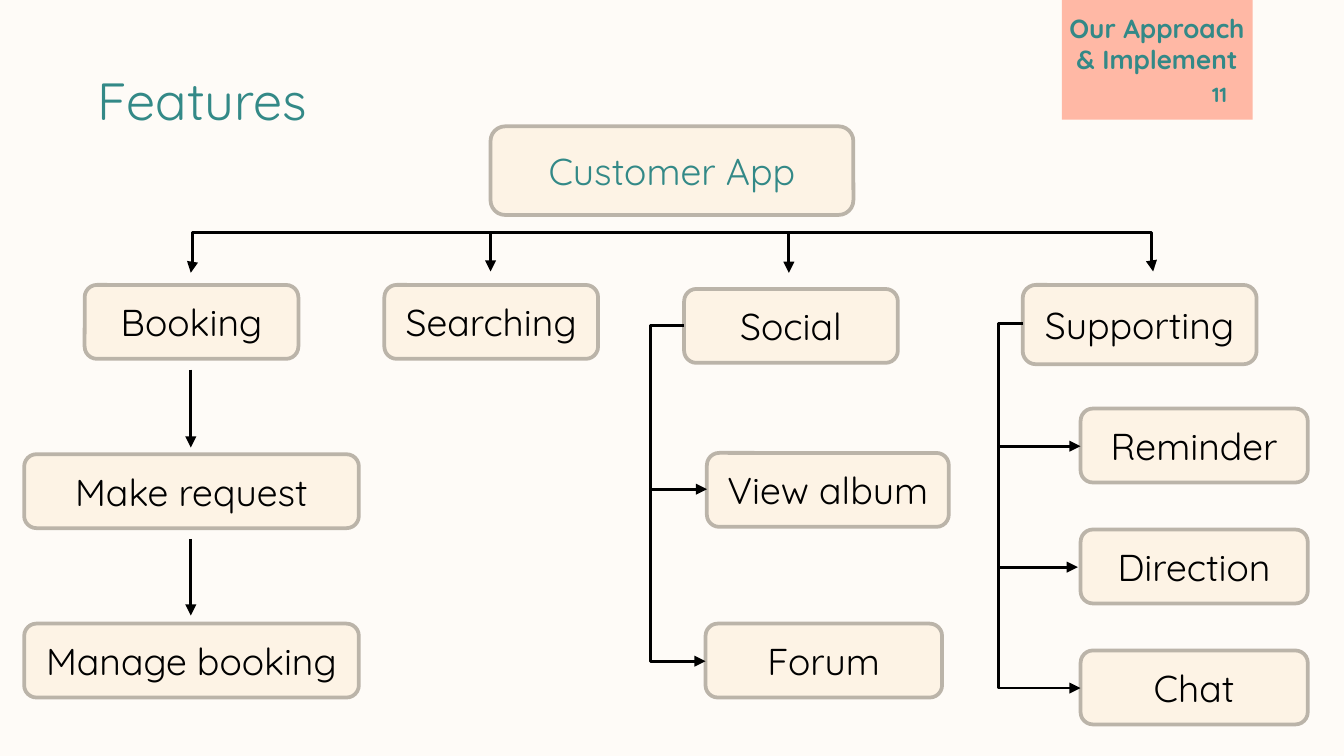
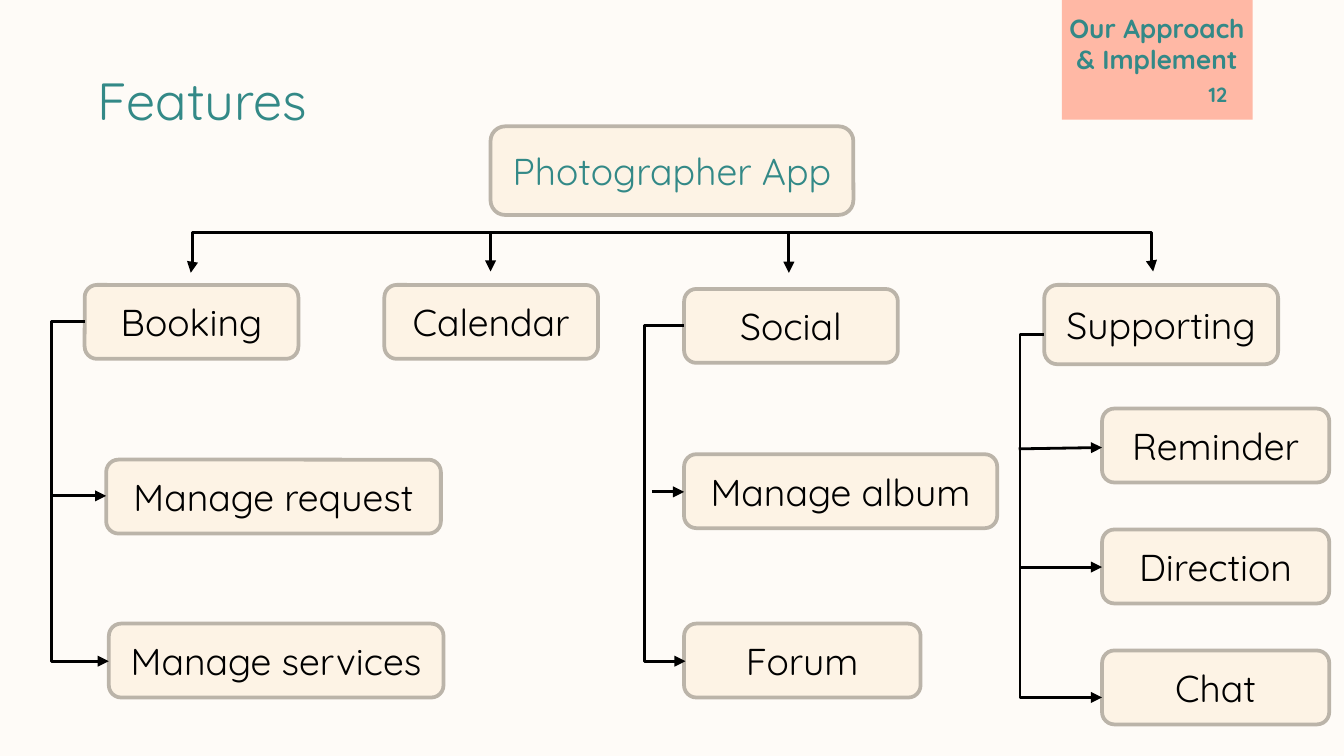
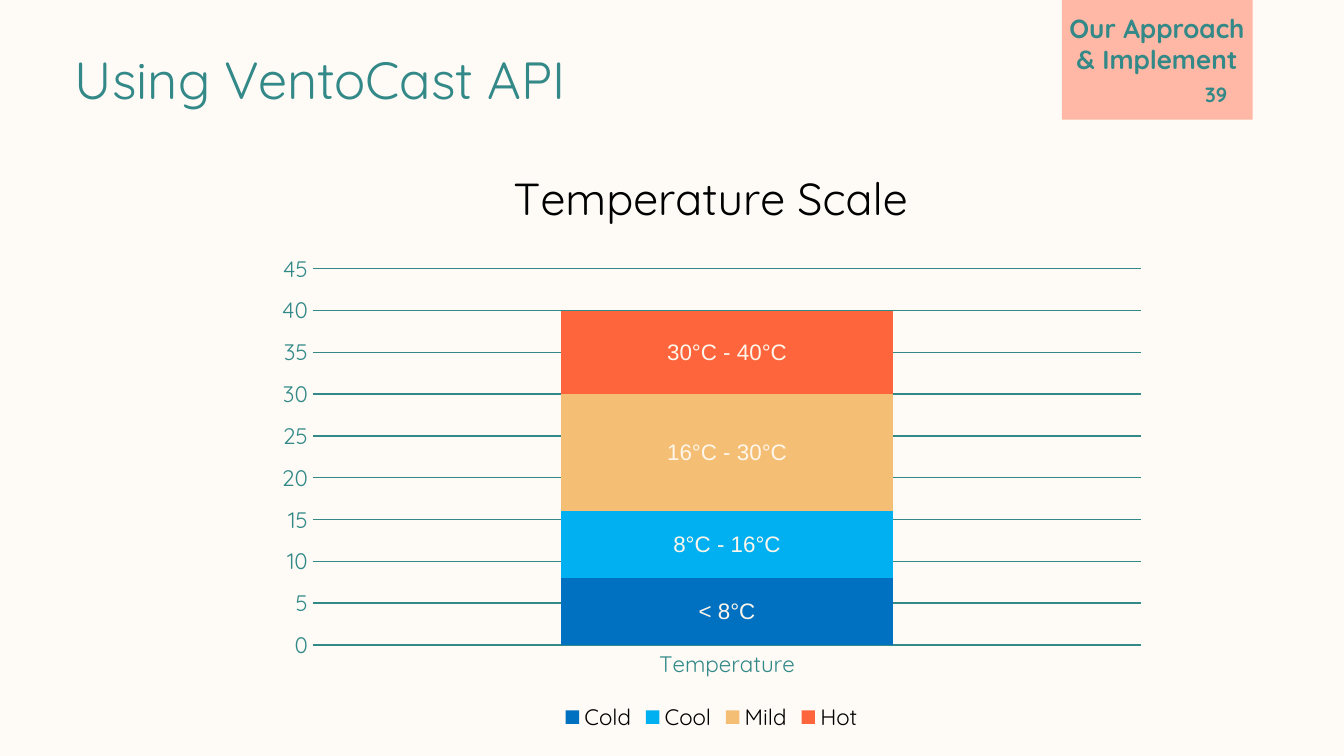
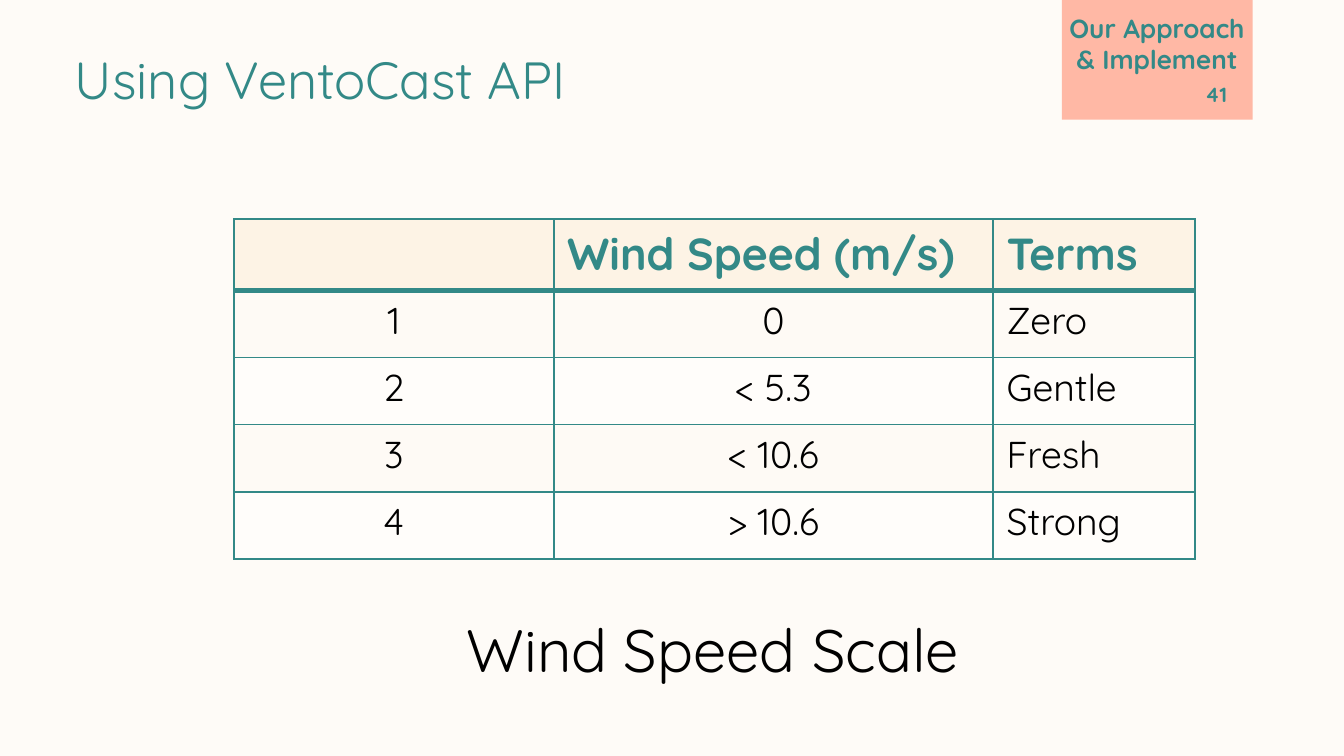
from dataclasses import dataclass
from typing import Optional

from lxml import etree
from pptx import Presentation
from pptx.chart.data import CategoryChartData
from pptx.dml.color import RGBColor
from pptx.enum.chart import XL_CHART_TYPE, XL_LABEL_POSITION, XL_LEGEND_POSITION, XL_TICK_MARK
from pptx.enum.shapes import MSO_CONNECTOR, MSO_SHAPE
from pptx.enum.text import MSO_ANCHOR, MSO_AUTO_SIZE, PP_ALIGN
from pptx.oxml.ns import qn
from pptx.util import Inches, Pt

LEFT, CENTER, RIGHT = PP_ALIGN.LEFT, PP_ALIGN.CENTER, PP_ALIGN.RIGHT
TOP, MIDDLE, BOTTOM = MSO_ANCHOR.TOP, MSO_ANCHOR.MIDDLE, MSO_ANCHOR.BOTTOM
GROW = MSO_AUTO_SIZE.SHAPE_TO_FIT_TEXT
RECTANGLE, ROUNDED = MSO_SHAPE.RECTANGLE, MSO_SHAPE.ROUNDED_RECTANGLE
STRAIGHT, ELBOW = MSO_CONNECTOR.STRAIGHT, MSO_CONNECTOR.ELBOW
STACKED = XL_CHART_TYPE.COLUMN_STACKED
LABEL_CENTER = XL_LABEL_POSITION.CENTER
LEGEND_BOTTOM = XL_LEGEND_POSITION.BOTTOM
NO_TICK = XL_TICK_MARK.NONE

FONT = "Quicksand"
LABEL_FONT = "Arial"
TEAL = "338987"
BLACK = "000000"
CREAM = "FDF3E5"
PAPER = "FEFBF7"
CORAL = "FFB8A5"
TAUPE = "BBB4A9"
LABEL_CREAM = "FEF6EB"
ROW_FILLS = ("FEFAF5", "FFFDFA")


@dataclass(frozen=True)
class Style:
    """Font settings of a text."""
    size: float
    color: str = BLACK
    bold: bool = False
    name: str = FONT


@dataclass(frozen=True)
class Frame:
    """Place of an element in inches."""
    left: float
    top: float
    width: float
    height: float

    def lengths(self):
        """Return the four values as lengths."""
        return [Inches(value) for value in (self.left, self.top, self.width, self.height)]


@dataclass(frozen=True)
class Node:
    """A labelled box of a feature tree."""
    text: str
    left: float
    top: float
    width: float
    height: float = 0.55
    color: str = BLACK


@dataclass(frozen=True)
class Link:
    """An arrow, bent at a given x where one is set."""
    start: tuple[float, float]
    end: tuple[float, float]
    bend: Optional[float] = None


@dataclass(frozen=True)
class Band:
    """One temperature range of the stacked column."""
    name: str
    degrees: int
    label: str
    color: str


TITLE = Style(28, TEAL)
SECTION = Style(14, TEAL, True)
NUMBER = Style(11, TEAL, True)
CAPTION = Style(32)
HEADER = Style(24, TEAL, True)
BODY = Style(20)
AXIS = Style(12, TEAL)
LEGEND = Style(12)
CHART_TITLE = Style(24)
CHART_TEXT = Style(10, CREAM, name=LABEL_FONT)
DATA_LABEL = Style(12, LABEL_CREAM, name=LABEL_FONT)

FEATURES_TITLE = Frame(0.63, 0.46, 2.8, 0.57)
API_TITLE = Frame(0.46, 0.3, 6.97, 0.57)
CHART = Frame(1.96, 1.04, 6.67, 4.44)
PLOT = Frame(2.33, 2, 6.16, 2.8)

BUS_LINKS = [
    Link((3.65, 1.72), (3.65, 2.02)),
    Link((5, 1.73), (1.42, 2.03), 1.43),
    Link((5, 1.73), (8.58, 2.02), 8.57),
    Link((5.87, 1.73), (5.87, 2.03)),
]
CUSTOMER_NODES = [
    Node("Make request", 0.18, 3.38, 2.49),
    Node("Manage booking", 0.18, 4.64, 2.49),
    Node("View album", 5.26, 3.37, 1.8),
    Node("Forum", 5.25, 4.64, 1.76),
]
CUSTOMER_LINKS = [
    Link((1.42, 2.75), (1.42, 3.33)),
    Link((1.42, 4.01), (1.42, 4.58)),
    Link((5.09, 2.42), (5.25, 4.92), 4.84),
    Link((4.83, 3.64), (5.26, 3.64)),
    Link((7.61, 2.41), (8.04, 5.12), 7.43),
    Link((7.42, 3.32), (8.04, 3.32)),
    Link((7.42, 4.22), (8.02, 4.22)),
]
PHOTOGRAPHER_NODES = [
    Node("Manage request", 0.79, 3.42, 2.49),
    Node("Manage services", 0.81, 4.64, 2.49),
    Node("Manage album", 5.09, 3.38, 2.33),
    Node("Forum", 5.09, 4.64, 1.76),
]
PHOTOGRAPHER_LINKS = [
    Link((0.63, 2.39), (0.81, 4.92), 0.38),
    Link((0.39, 3.69), (0.79, 3.69)),
    Link((5.09, 2.42), (5.1, 4.92), 4.79),
    Link((4.85, 3.66), (5.09, 3.66)),
    Link((7.77, 2.49), (8.2, 5.19), 7.59),
    Link((7.58, 3.34), (8.2, 3.33)),
    Link((7.6, 4.22), (8.2, 4.22)),
]
TEMPERATURES = [
    Band("Cold", 8, "< 8°C", "0070C0"),
    Band("Cool", 8, "8°C - 16°C", "00B0F0"),
    Band("Mild", 14, "16°C - 30°C", "F4BF75"),
    Band("Hot", 10, "30°C - 40°C", "FF653C"),
]
WIND_ROWS = [
    ("", "Wind Speed (m/s)", "Terms"),
    ("1", "0", "Zero"),
    ("2", "< 5.3", "Gentle"),
    ("3", "< 10.6", "Fresh"),
    ("4", "> 10.6", "Strong"),
]


def rgb(color: str) -> RGBColor:
    """Turn a hex string into a colour."""
    return RGBColor.from_string(color)


def paint(fill, color: str) -> None:
    """Give a fill one solid colour."""
    fill.solid()
    fill.fore_color.rgb = rgb(color)


def set_font(font, style: Style) -> None:
    """Apply a style to a font."""
    font.name = style.name
    font.size = Pt(style.size)
    font.bold = style.bold
    font.color.rgb = rgb(style.color)


def write(text_frame, text: str, style: Style, align=LEFT) -> None:
    """Put one styled paragraph into a text frame."""
    text_frame.text = text
    para = text_frame.paragraphs[0]
    para.alignment = align
    set_font(para.font, style)


def add_text(page, frame: Frame, text: str, style: Style, align=LEFT,
             anchor=TOP, inset: float = 0.05, grow: bool = False) -> None:
    """Add a wrapping text box."""
    text_frame = page.shapes.add_textbox(*frame.lengths()).text_frame
    text_frame.word_wrap = True
    text_frame.vertical_anchor = anchor
    text_frame.margin_top = text_frame.margin_bottom = Inches(inset)
    if grow:
        text_frame.auto_size = GROW
    write(text_frame, text, style, align)


def add_page(deck, number: int, title: str, title_frame: Frame):
    """Add a slide with its section tab, number and title."""
    page = deck.slides.add_slide(deck.slide_layouts[6])
    tab = page.shapes.add_shape(RECTANGLE, *Frame(7.9, 0, 1.42, 0.89).lengths())
    tab.shadow.inherit = False
    paint(tab.fill, CORAL)
    tab.line.fill.background()
    add_text(page, Frame(8.63, 0.52, 0.6, 0.43), str(number), NUMBER, RIGHT, inset=0.1)
    add_text(page, Frame(7.83, 0.13, 1.56, 0.53), "Our Approach & Implement",
             SECTION, CENTER, BOTTOM, 0.1)
    add_text(page, title_frame, title, TITLE, grow=True)
    return page


def add_node(page, node: Node) -> None:
    """Draw one rounded feature box."""
    frame = Frame(node.left, node.top, node.width, node.height)
    box = page.shapes.add_shape(ROUNDED, *frame.lengths())
    box.shadow.inherit = False
    paint(box.fill, CREAM)
    box.line.color.rgb = rgb(TAUPE)
    box.line.width = Pt(2)
    box.text_frame.word_wrap = True
    box.text_frame.vertical_anchor = MIDDLE
    write(box.text_frame, node.text, Style(20, node.color), CENTER)


def add_link(page, link: Link) -> None:
    """Draw one arrow."""
    kind = STRAIGHT if link.bend is None else ELBOW
    points = [Inches(value) for value in (*link.start, *link.end)]
    connector = page.shapes.add_connector(kind, *points)
    connector.line.color.rgb = rgb(BLACK)
    connector.line.width = Pt(1.5)
    properties = connector.element.spPr
    etree.SubElement(properties.find(qn("a:ln")), qn("a:tailEnd"), type="triangle")
    etree.SubElement(properties, qn("a:effectLst"))
    if link.bend is not None:
        ratio = (link.bend - link.start[0]) / (link.end[0] - link.start[0])
        geometry = properties.find(qn("a:prstGeom"))
        guides = geometry.find(qn("a:avLst"))
        if guides is None:
            guides = etree.SubElement(geometry, qn("a:avLst"))
        etree.SubElement(guides, qn("a:gd"), name="adj1", fmla=f"val {round(ratio * 100000)}")


def tree_nodes(app: str, second: str, support_left: float) -> list[Node]:
    """List the boxes that both feature trees have."""
    nodes = [
        Node(app, 3.65, 0.94, 2.7, 0.66, TEAL),
        Node("Booking", 0.63, 2.12, 1.59),
        Node(second, 2.86, 2.12, 1.59),
        Node("Social", 5.09, 2.15, 1.59),
        Node("Supporting", support_left, 2.12, 1.74, 0.59),
    ]
    for index, text in enumerate(("Reminder", "Direction", "Chat")):
        nodes.append(Node(text, support_left + 0.43, 3.04 + 0.9 * index, 1.69))
    return nodes


def add_features(deck, number: int, nodes: list[Node], links: list[Link]) -> None:
    """Build a feature tree slide."""
    page = add_page(deck, number, "Features", FEATURES_TITLE)
    for node in nodes:
        add_node(page, node)
    for link in BUS_LINKS + links:
        add_link(page, link)


def place(parent, **settings) -> None:
    """Fix the layout of a chart part as fractions of the chart."""
    layout = parent.find(qn("c:layout"))
    if layout is None:
        layout = etree.Element(qn("c:layout"))
        parent.insert(0, layout)
    manual = etree.SubElement(layout, qn("c:manualLayout"))
    for name, value in settings.items():
        etree.SubElement(manual, qn(f"c:{name}"), val=str(value))


def style_axis(axis) -> None:
    """Give an axis its font and no tick marks."""
    axis.major_tick_mark = axis.minor_tick_mark = NO_TICK
    set_font(axis.tick_labels.font, AXIS)


def add_temperature(deck) -> None:
    """Build the temperature chart slide."""
    page = add_page(deck, 39, "Using VentoCast API", API_TITLE)
    data = CategoryChartData()
    data.categories = ["Temperature"]
    for band in TEMPERATURES:
        data.add_series(band.name, [band.degrees])
    chart = page.shapes.add_chart(STACKED, *CHART.lengths(), data).chart
    set_font(chart.font, CHART_TEXT)

    chart.has_title = True
    place(chart.chart_title.element, xMode="edge", yMode="edge", x=0.27, y=0.03)
    write(chart.chart_title.text_frame, "Temperature Scale", CHART_TITLE, CENTER)
    place(chart.element.find(".//" + qn("c:plotArea")), layoutTarget="inner",
          xMode="edge", yMode="edge",
          x=(PLOT.left - CHART.left) / CHART.width, y=(PLOT.top - CHART.top) / CHART.height,
          w=PLOT.width / CHART.width, h=PLOT.height / CHART.height)

    chart.has_legend = True
    chart.legend.position = LEGEND_BOTTOM
    chart.legend.include_in_layout = False
    set_font(chart.legend.font, LEGEND)

    style_axis(chart.category_axis)
    category_line = chart.category_axis.format.line
    values = chart.value_axis
    style_axis(values)
    values.minimum_scale, values.maximum_scale, values.major_unit = 0, 45, 5
    values.format.line.fill.background()
    values.has_major_gridlines = True
    for line in (category_line, values.major_gridlines.format.line):
        line.color.rgb = rgb(TEAL)
        line.width = Pt(0.75)

    plot = chart.plots[0]
    plot.gap_width, plot.overlap = 150, 100
    plot.vary_by_categories = False
    for series, band in zip(plot.series, TEMPERATURES):
        paint(series.format.fill, band.color)
        series.data_labels.show_value = True
        set_font(series.data_labels.font, DATA_LABEL)
        label = series.points[0].data_label
        write(label.text_frame, band.label, DATA_LABEL, CENTER)
        label.position = LABEL_CENTER


def add_border(cell, side: str, width: float) -> None:
    """Draw one border of a table cell."""
    properties = cell._tc.get_or_add_tcPr()
    line = etree.SubElement(properties, qn(f"a:ln{side}"), w=str(Pt(width)))
    fill = etree.SubElement(line, qn("a:solidFill"))
    etree.SubElement(fill, qn("a:srgbClr"), val=TEAL)


def add_wind(deck) -> None:
    """Build the wind speed table slide."""
    page = add_page(deck, 41, "Using VentoCast API", API_TITLE)
    frame = Frame(1.74, 1.63, 7.14, 2.53)
    table = page.shapes.add_table(len(WIND_ROWS), 3, *frame.lengths()).table
    for column, width in zip(table.columns, (2.38, 3.27, 1.5)):
        column.width = Inches(width)
    for row_index, texts in enumerate(WIND_ROWS):
        is_header = row_index == 0
        table.rows[row_index].height = Inches(0.53 if is_header else 0.5)
        for column_index, text in enumerate(texts):
            cell = table.cell(row_index, column_index)
            for side in "LRTB":
                add_border(cell, side, 3 if is_header and side == "B" else 1)
            paint(cell.fill, CREAM if is_header else ROW_FILLS[(row_index - 1) % 2])
            align = LEFT if is_header or column_index == 2 else CENTER
            write(cell.text_frame, text, HEADER if is_header else BODY, align)
    add_text(page, Frame(3.36, 4.51, 3.89, 0.64), "Wind Speed Scale", CAPTION, CENTER, grow=True)


def main() -> None:
    """Build and save the deck in 16:9."""
    deck = Presentation()
    deck.slide_width = Inches(10)
    deck.slide_height = Inches(10) * 9 // 16
    paint(deck.slide_master.background.fill, PAPER)
    add_features(deck, 11, tree_nodes("Customer App", "Searching", 7.61) + CUSTOMER_NODES,
                 CUSTOMER_LINKS)
    add_features(deck, 12, tree_nodes("Photographer App", "Calendar", 7.77) + PHOTOGRAPHER_NODES,
                 PHOTOGRAPHER_LINKS)
    add_temperature(deck)
    add_wind(deck)
    deck.save("out.pptx")


if __name__ == "__main__":
    main()
